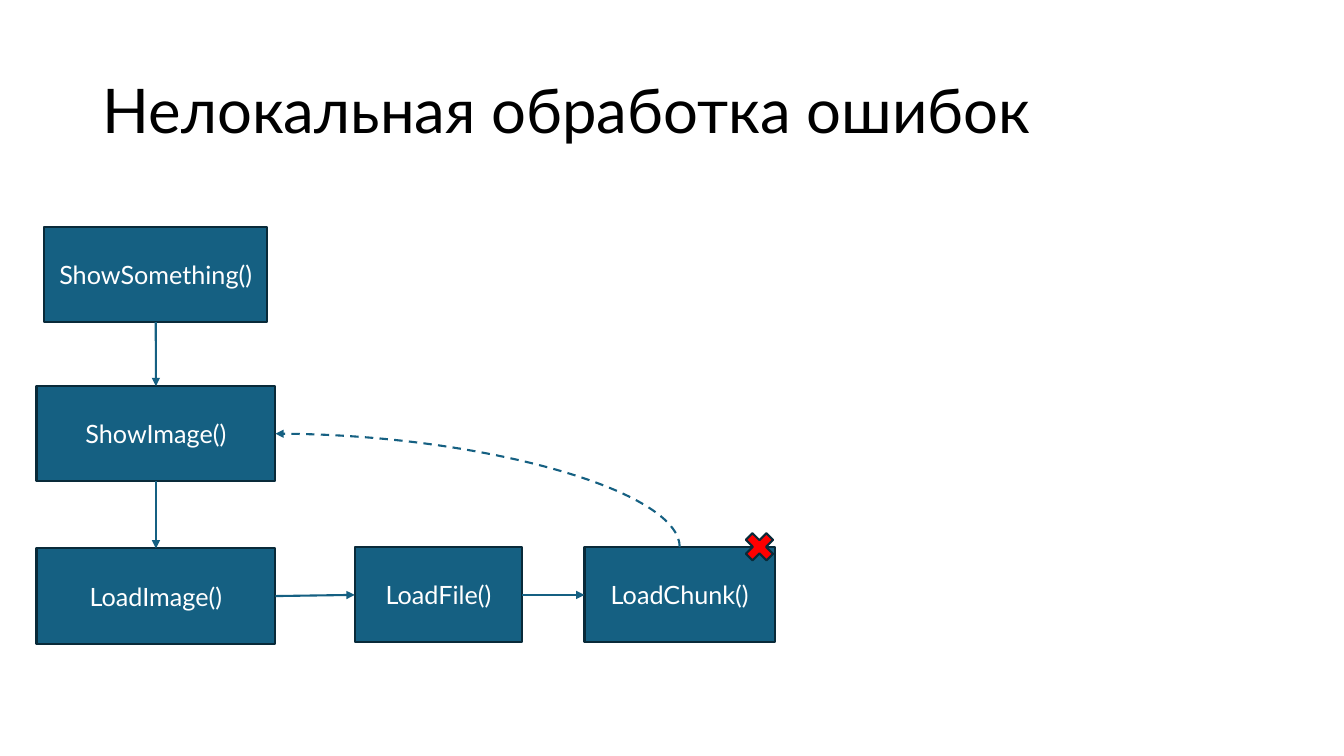
from lxml.etree import SubElement as Sub
from pptx import Presentation
from pptx.dml.color import RGBColor as Rgb
from pptx.enum.dml import MSO_LINE
from pptx.enum.shapes import MSO_CONNECTOR as Link, MSO_SHAPE as Kind
from pptx.enum.text import MSO_ANCHOR, MSO_AUTO_SIZE, PP_ALIGN
from pptx.oxml.ns import qn
from pptx.util import Cm, Pt
from dataclasses import dataclass


@dataclass(frozen=True)
class Theme:
    font: str = "Lato"
    head: Pt = Pt(44)
    text: Pt = Pt(18)
    rule: Pt = Pt(1.5)
    black: Rgb = Rgb(0, 0, 0)
    white: Rgb = Rgb(255, 255, 255)
    blue: Rgb = Rgb(0x15, 0x60, 0x82)
    edge: Rgb = Rgb(0x09, 0x2A, 0x39)
    red: Rgb = Rgb(255, 0, 0)


THEME = Theme()
TOP, LEFT, BASE, RIGHT = range(4)
HIGH = 2.4
BOXES = {
    "ShowSomething()": (1.12, 5.72, 5.61),
    "ShowImage()": (0.92, 9.73, 6.02),
    "LoadImage()": (0.92, 13.82, 6.02),
    "LoadFile()": (8.94, 13.79, 4.22),
    "LoadChunk()": (14.73, 13.79, 4.8),
}
CALLS = [
    ("ShowSomething()", BASE, "ShowImage()", TOP),
    ("ShowImage()", BASE, "LoadImage()", TOP),
    ("LoadImage()", RIGHT, "LoadFile()", LEFT),
    ("LoadFile()", RIGHT, "LoadChunk()", LEFT),
]


def apply(item, form):
    for name, value in form.items():
        setattr(item, name, value)


def place(item, left, top, width, height):
    apply(item, {"left": Cm(left), "top": Cm(top),
                 "width": Cm(width), "height": Cm(height)})


def write(shape, text, size, color, align):
    frame = shape.text_frame
    frame.text = text
    apply(frame, {"word_wrap": True, "vertical_anchor": MSO_ANCHOR.MIDDLE,
                  "auto_size": MSO_AUTO_SIZE.NONE})
    line = frame.paragraphs[0]
    line.alignment = align
    font = line.runs[0].font
    apply(font, {"name": THEME.font, "size": size})
    font.color.rgb = color
    return line


def add_title(slide, text):
    title = slide.shapes.title
    place(title, 2.33, 1.01, 29.21, 3.68)
    line = write(title, text, THEME.head, THEME.black, PP_ALIGN.LEFT)
    line.line_spacing = 0.9


def add_form(slide, kind, area, fill):
    shape = slide.shapes.add_shape(kind, *map(Cm, area))
    shape.shadow.inherit = False
    shape.fill.solid()
    shape.fill.fore_color.rgb = fill
    shape.line.color.rgb = THEME.edge
    shape.line.width = THEME.rule
    return shape


def add_box(slide, text, left, top, width):
    box = add_form(slide, Kind.RECTANGLE, (left, top, width, HIGH), THEME.blue)
    write(box, text, THEME.text, THEME.white, PP_ALIGN.CENTER)
    return box


def add_arrow(slide, kind, start, out, end, into):
    arrow = slide.shapes.add_connector(kind, 0, 0, 0, 0)
    arrow.begin_connect(start, out)
    arrow.end_connect(end, into)
    arrow.line.color.rgb = THEME.blue
    arrow.line.width = THEME.rule
    props = arrow._element.spPr
    Sub(props.find(qn("a:ln")), qn("a:tailEnd"), type="triangle")
    Sub(props, qn("a:effectLst"))
    return arrow


def add_throw(slide, start, end):
    arrow = add_arrow(slide, Link.CURVE, start, TOP, end, RIGHT)
    arrow.line.dash_style = MSO_LINE.DASH
    wide, high = arrow.width, arrow.height
    shift = (wide - high) // 2
    apply(arrow, {"left": arrow.left + shift, "top": arrow.top - shift,
                  "width": high, "height": wide})
    props = arrow._element.spPr
    props.find(qn("a:prstGeom")).set("prst", "curvedConnector2")
    turn = {"rot": "16200000", "flipH": "0", "flipV": "1"}
    for name, value in turn.items():
        props.find(qn("a:xfrm")).set(name, value)


def main():
    deck = Presentation()
    apply(deck, {"slide_width": Cm(33.87), "slide_height": Cm(19.05)})
    slide = deck.slides.add_slide(deck.slide_layouts[5])
    add_title(slide, "Нелокальная обработка ошибок")
    boxes = {name: add_box(slide, name, *area) for name, area in BOXES.items()}
    for start, out, end, into in CALLS:
        add_arrow(slide, Link.STRAIGHT, boxes[start], out, boxes[end], into)
    add_form(slide, Kind.MATH_MULTIPLY, (18.64, 13.28, 1, 1), THEME.red)
    add_throw(slide, boxes["LoadChunk()"], boxes["ShowImage()"])
    deck.save("out.pptx")


if __name__ == "__main__":
    main()
